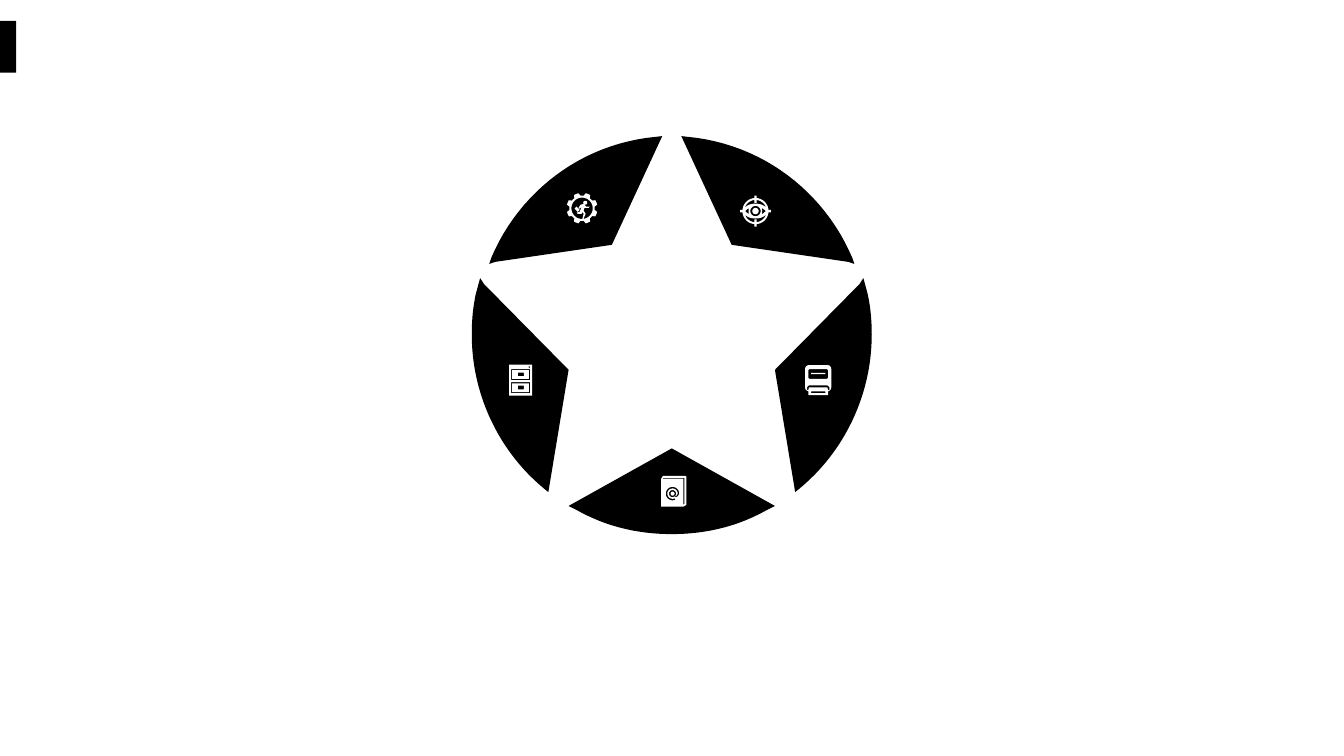
from math import cos, radians, sin

from pptx import Presentation
from pptx.dml.color import RGBColor
from pptx.enum.shapes import MSO_SHAPE
from pptx.util import Cm

RECTANGLE = MSO_SHAPE.RECTANGLE
BLACK = RGBColor(0x00, 0x00, 0x00)
WHITE = RGBColor(0xFF, 0xFF, 0xFF)
AXIS = 16.93  # centre line of the wheel, in cm


def arc(x, y, radius, start=0, end=360, steps=32):
    """Points on a circle from one angle to another, in degrees, clockwise."""
    angles = [radians(start + (end - start) * i / steps) for i in range(steps + 1)]
    return [(x + radius * cos(a), y + radius * sin(a)) for a in angles]


def curve(p0, p1, p2, p3, steps=24):
    """Points on a cubic Bézier curve."""
    points = []
    for i in range(steps + 1):
        t = i / steps
        weights = ((1 - t) ** 3, 3 * t * (1 - t) ** 2, 3 * t * t * (1 - t), t ** 3)
        points.append(tuple(
            sum(w * p[axis] for w, p in zip(weights, (p0, p1, p2, p3)))
            for axis in (0, 1)))
    return points


def box(left, top, right, bottom, radius=0):
    if not radius:
        return [(left, top), (right, top), (right, bottom), (left, bottom)]
    return (arc(left + radius, top + radius, radius, 180, 270, 6)
            + arc(right - radius, top + radius, radius, 270, 360, 6)
            + arc(right - radius, bottom - radius, radius, 0, 90, 6)
            + arc(left + radius, bottom - radius, radius, 90, 180, 6))


def move(points, x, y):
    return [(x + px, y + py) for px, py in points]


def mirror(points):
    return [(-x, y) for x, y in points]


def flip(points):
    return [(x, -y) for x, y in points]


class WheelSlide:
    """Draws on one slide; all lengths are in cm."""

    def __init__(self, slide, segment_colour, icon_colour):
        self.slide = slide
        self.segment_colour = segment_colour
        self.icon_colour = icon_colour

    def finish(self, shape, colour):
        shape.fill.solid()
        shape.fill.fore_color.rgb = colour
        shape.line.fill.background()
        shape.shadow.inherit = False

    def rectangle(self, left, top, width, height):
        shape = self.slide.shapes.add_shape(
            RECTANGLE, Cm(left), Cm(top), Cm(width), Cm(height))
        self.finish(shape, self.segment_colour)

    def outline(self, shapes, contours, colour):
        """One freeform; contours inside others cut holes."""
        builder = None
        for contour in contours:
            first, *rest = [(Cm(x), Cm(y)) for x, y in contour]
            if builder is None:
                builder = shapes.build_freeform(*first)
            else:
                builder.move_to(*first)
            builder.add_line_segments(rest, close=True)
        self.finish(builder.convert_to_shape(), colour)

    def segment(self, points, icon, x, y):
        """A wheel segment grouped with its icon, centred at x, y."""
        group = self.slide.shapes.add_group_shape()
        self.outline(group.shapes, [move(points, AXIS, 0)], self.segment_colour)
        self.outline(group.shapes, [move(c, x, y) for c in icon], self.icon_colour)


def machine_icon():
    return [
        box(-0.33, -0.38, 0.33, 0.28, 0.1),
        box(-0.25, 0.28, 0.25, 0.38),
        box(-0.25, -0.28, 0.25, -0.03, 0.05),
        box(-0.18, -0.18, 0.18, -0.15),
        box(-0.18, 0.28, 0.18, 0.33),
        [(-0.28, 0.25), (-0.28, 0.17), (-0.23, 0.13), (0.23, 0.13), (0.28, 0.17),
         (0.28, 0.25), (0.25, 0.25), (0.23, 0.18), (-0.23, 0.18), (-0.25, 0.25)],
    ]


def eye_icon():
    lid = arc(0, 0, 0.28, 200, 340) + curve(
        (0.26, -0.09), (0.16, -0.22), (-0.16, -0.22), (-0.26, -0.09))
    corner = [(0.17, -0.08), (0.26, 0), (0.17, 0.08)]
    outer_tick = box(-0.03, -0.39, 0.03, -0.33)
    inner_tick = box(-0.03, -0.28, 0.03, -0.21)
    side_tick = box(0.33, -0.03, 0.39, 0.03)
    contours = [arc(0, 0, 0.33), arc(0, 0, 0.13), arc(0, 0, 0.08)]
    for part in (lid, outer_tick, inner_tick):
        contours += [part, flip(part)]
    for part in (corner, side_tick):
        contours += [part, mirror(part)]
    return contours


def address_book_icon():
    at_tail = (arc(0, 0, 0.17, 65, 360)
               + [(0.14, 0.06), (0.09, 0.09), (0.05, 0.08), (0.07, 0.06), (0.1, 0.05)]
               + arc(0, 0, 0.13, 360, 65))
    at_sign = [at_tail, arc(0, 0, 0.09), arc(0, 0, 0.05)]
    cover = [(-0.32, -0.31), (-0.27, -0.39), (0.29, -0.39), (0.32, -0.37),
             (0.32, 0.34), (0.24, 0.39), (-0.32, 0.39)]
    pages = [(-0.29, -0.32), (-0.27, -0.34), (0.27, -0.34), (0.27, 0.32),
             (0.24, 0.34), (0.24, -0.32)]
    return [cover, pages] + [move(c, -0.03, 0.06) for c in at_sign]


def gear_runner_icon():
    gear = []
    for tooth in range(8):
        angle = 22.5 + 45 * tooth
        gear += arc(0, 0, 0.39, angle - 9, angle + 9, 4)
        gear += arc(0, 0, 0.32, angle + 15, angle + 30, 4)
    runner = [(0.04, -0.11), (-0.04, -0.09), (-0.09, -0.01), (-0.06, 0.01),
              (-0.01, -0.04), (-0.04, 0.04), (-0.06, 0.09), (-0.14, 0.11),
              (-0.11, 0.14), (-0.01, 0.14), (0.01, 0.09), (0.04, 0.14),
              (0.01, 0.26), (0.04, 0.26), (0.09, 0.14), (0.04, 0.06),
              (0.06, -0.01), (0.17, -0.01), (0.19, -0.04), (0.11, -0.04),
              (0.06, -0.09)]
    briefcase = [(-0.14, -0.04), (-0.06, 0.04), (-0.11, 0.09), (-0.19, 0.01)]
    return [gear, arc(0, 0, 0.27), runner, briefcase, arc(0.08, -0.14, 0.05)]


def cabinet_icon():
    contours = [box(-0.29, -0.39, 0.29, 0.39), arc(0.22, -0.33, 0.02)]
    for top in (-0.28, 0.05):
        contours += [box(-0.24, top, 0.24, top + 0.28),
                     box(-0.21, top + 0.03, 0.21, top + 0.25),
                     box(-0.07, top + 0.09, 0.08, top + 0.18)]
    return contours


def main():
    presentation = Presentation()
    presentation.slide_width = Cm(33.87)
    presentation.slide_height = Cm(19.05)
    slide = presentation.slides.add_slide(presentation.slide_layouts[6])
    wheel = WheelSlide(slide, BLACK, WHITE)

    # Outlines: x from the wheel's axis, y from the top of the slide
    upper = ([(0.24, 3.43)]
             + curve((0.41, 3.45), (2.29, 3.63), (3.84, 4.83), (4.55, 6.5))
             + [(4.6, 6.65), (4.45, 6.6), (1.51, 6.17)])
    side = ([(4.83, 7.01)]
            + curve((4.94, 7.42), (5.01, 7.75), (5.04, 8.08), (5.04, 8.43))
            + curve((5.04, 8.43), (5.04, 9.98), (4.33, 11.4), (3.21, 12.32))
            + [(3.11, 12.4), (2.6, 9.32), (4.73, 7.16)])
    half = [(0, 11.3), (2.6, 12.75)] + curve(
        (2.4, 12.85), (1.68, 13.26), (0.87, 13.46), (0, 13.46))
    bottom = half + mirror(half)[::-1]

    wheel.segment(side, machine_icon(), 20.62, 9.58)
    wheel.segment(upper, eye_icon(), 19.04, 5.32)
    wheel.segment(bottom, address_book_icon(), 16.98, 12.38)
    wheel.segment(mirror(upper), gear_runner_icon(), 14.67, 5.25)
    wheel.segment(mirror(side), cabinet_icon(), 13.12, 9.58)
    wheel.rectangle(0, 0.53, 0.41, 1.3)
    presentation.save("out.pptx")


if __name__ == "__main__":
    main()
